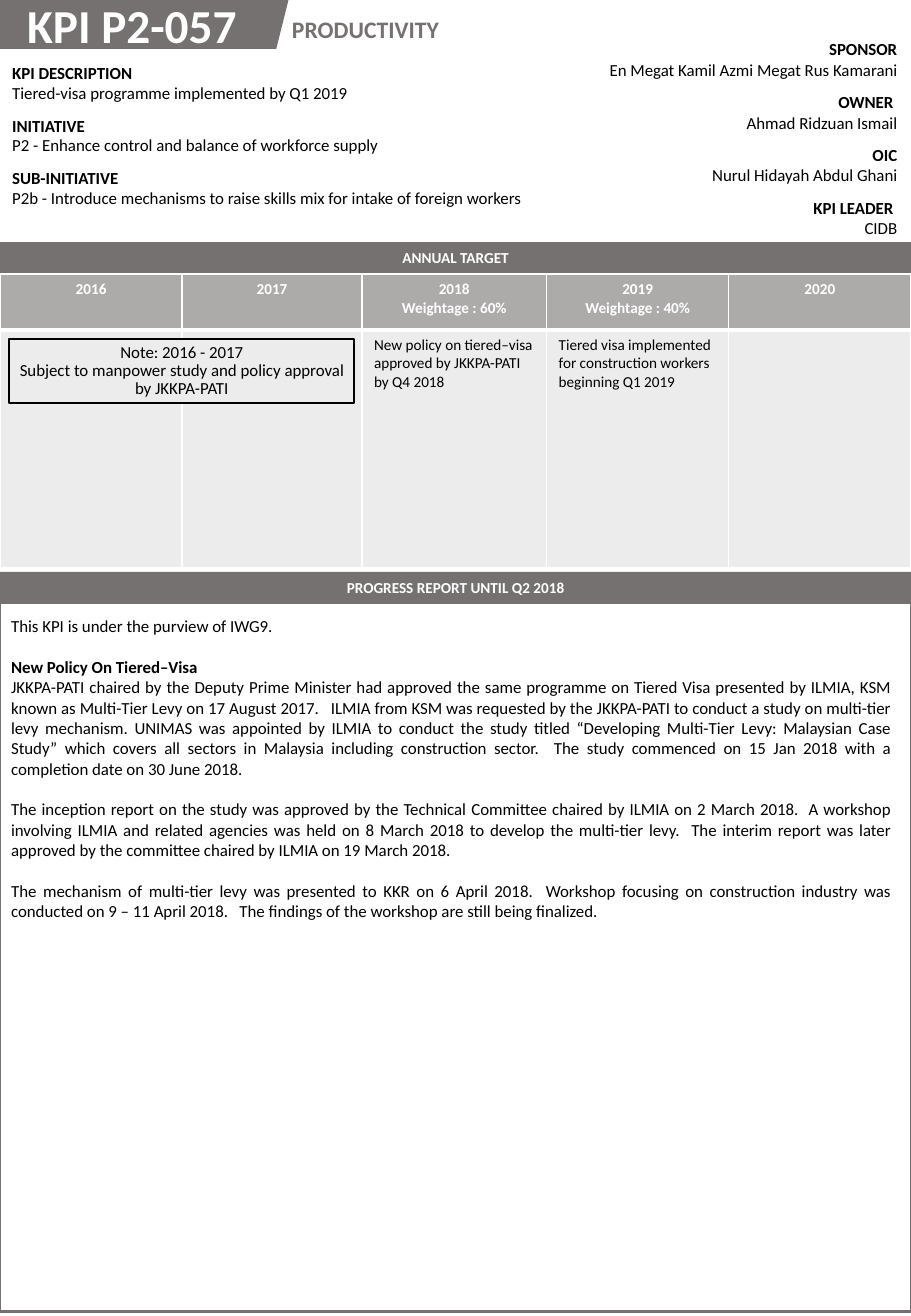
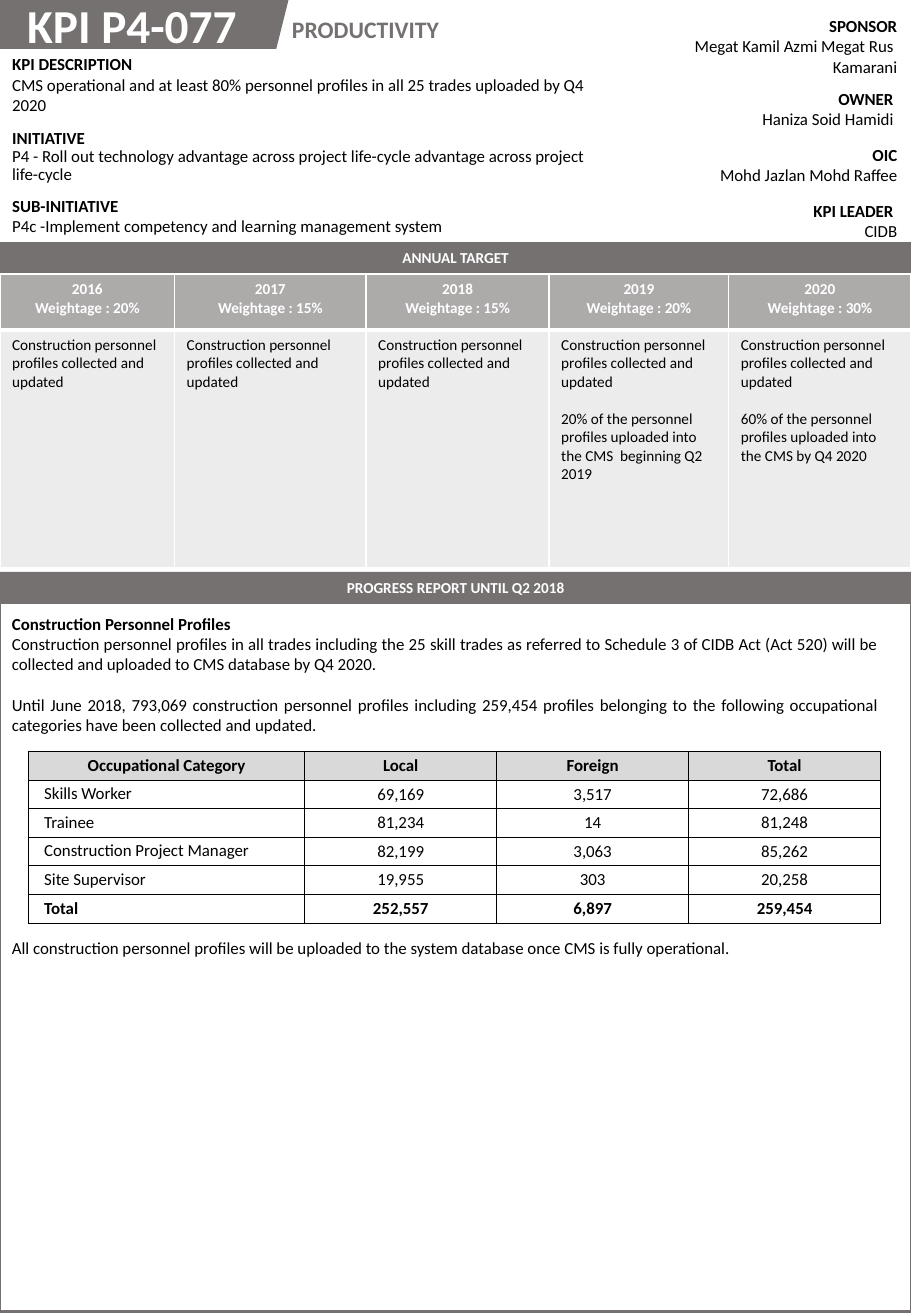
import collections
import dataclasses

import lxml.etree
import pptx
import pptx.dml.color
import pptx.enum.shapes
import pptx.enum.text
import pptx.oxml.ns
import pptx.util

Pt = pptx.util.Pt
ALIGN = pptx.enum.text.PP_ALIGN
ANCHOR = pptx.enum.text.MSO_ANCHOR
SHAPE = pptx.enum.shapes.MSO_SHAPE
qn = pptx.oxml.ns.qn

Box = collections.namedtuple("Box", "left top width height")


@dataclasses.dataclass(frozen=True)
class Theme:
    font: str = "Calibri"
    grey: str = "767171"
    year_fill: str = "ADAAAA"
    target_fill: str = "EDECEC"
    head_fill: str = "D9D9D9"
    white: str = "FFFFFF"
    black: str = "000000"
    code_size: int = 28
    topic_size: int = 14
    body_size: int = 10
    small_size: int = 9
    blank_line: float = 12.2
    small_blank_line: float = 11
    tight: float = 0.88


@dataclasses.dataclass(frozen=True)
class Line:
    text: str
    bold: bool = False
    align: object = ALIGN.LEFT
    before: float = 0
    spacing: float = 1


THEME = Theme()
PAGE = Box(0, 0, 540, 780)


def points(*lengths):
    return [Pt(length) for length in lengths]


def rgb(colour):
    return pptx.dml.color.RGBColor.from_string(colour)


def write(frame, lines, size, colour=THEME.black, align=None):
    """Fill a frame with lines; align overrides the alignment of each line."""
    frame.word_wrap = True
    frame.text = "\n".join(line.text for line in lines)
    for para, line in zip(frame.paragraphs, lines):
        para.alignment = line.align if align is None else align
        para.line_spacing = line.spacing
        if line.before:
            para.space_before = Pt(line.before)
        for span in para.runs:
            span.font.name = THEME.font
            span.font.size = Pt(size)
            span.font.bold = line.bold
            span.font.color.rgb = rgb(colour)


def add_text(page, box, lines, size, colour=THEME.black):
    write(page.shapes.add_textbox(*points(*box)).text_frame, lines, size, colour)


def add_shape(page, kind, box, fill=None, line=None, line_width=1):
    shape = page.shapes.add_shape(kind, *points(*box))
    shape.shadow.inherit = False
    if fill:
        shape.fill.solid()
        shape.fill.fore_color.rgb = rgb(fill)
    else:
        shape.fill.background()
    if line:
        shape.line.color.rgb = rgb(line)
        shape.line.width = Pt(line_width)
    else:
        shape.line.fill.background()
    return shape


def add_grid(page, box, widths, heights):
    """Add a table without banding at the top left of the box."""
    frame = page.shapes.add_table(len(heights), len(widths), *points(*box))
    table = frame.table
    table.first_row = table.horz_banding = False
    for column, width in zip(table.columns, widths):
        column.width = Pt(width)
    for row, height in zip(table.rows, heights):
        row.height = Pt(height)
    return table


def style_cell(cell, fill=None, border=None, width=1, bottom=None):
    """Set the four borders, then the fill, as the schema orders them."""
    properties = cell._tc.get_or_add_tcPr()
    for side in ("lnL", "lnR", "lnT", "lnB"):
        side_width = bottom if bottom and side == "lnB" else width
        line = lxml.etree.SubElement(properties, qn("a:" + side), w=str(Pt(side_width)))
        if border:
            solid = lxml.etree.SubElement(line, qn("a:solidFill"))
            lxml.etree.SubElement(solid, qn("a:srgbClr"), val=border)
        else:
            lxml.etree.SubElement(line, qn("a:noFill"))
    if fill:
        cell.fill.solid()
        cell.fill.fore_color.rgb = rgb(fill)
    else:
        cell.fill.background()


def add_header(page, box, code):
    tag_width = 183
    add_shape(page, SHAPE.PARALLELOGRAM,
              Box(box.left - 12, box.top, tag_width, box.height), THEME.grey)
    add_text(page, Box(box.left + 9, box.top - 6, 162, 41),
             [Line(code, bold=True)], THEME.code_size, THEME.white)
    add_text(page, Box(box.left + 166, box.top + 5, 140, 24),
             [Line("PRODUCTIVITY", bold=True)], THEME.topic_size, THEME.grey)


def add_facts(page, box, facts, align):
    """Stack headed facts, given as (heading, line, ...), in equal rows."""
    row_height = box.height / len(facts)
    table = add_grid(page, box, [box.width], [row_height] * len(facts))
    for row, (heading, *lines) in enumerate(facts):
        cell = table.cell(row, 0)
        style_cell(cell)
        write(cell.text_frame, [Line(heading, bold=True), *lines],
              THEME.body_size, align=align)


def add_band(page, box, text):
    band = add_shape(page, SHAPE.RECTANGLE, box, THEME.grey)
    band.text_frame.vertical_anchor = ANCHOR.MIDDLE
    write(band.text_frame, [Line(text, bold=True)], THEME.small_size,
          THEME.white, ALIGN.CENTER)


def add_targets(page, box, widths, weights, targets):
    """Show a column for each year: its weightage, and its target lines."""
    head_height = 33
    table = add_grid(page, box, widths, [head_height, box.height - head_height])
    for column, (weight, lines) in enumerate(zip(weights, targets)):
        year, target = table.cell(0, column), table.cell(1, column)
        heads = [Line(str(2016 + column), bold=True)]
        if weight:
            heads.append(Line(f"Weightage : {weight}%", bold=True))
        style_cell(year, THEME.year_fill, THEME.white, bottom=3)
        write(year.text_frame, heads, THEME.small_size, THEME.white, ALIGN.CENTER)
        style_cell(target, THEME.target_fill, THEME.white)
        if lines:
            write(target.text_frame, lines, THEME.small_size)


def add_note(page, box, lines):
    """Lay a note over the target cells, in their colour."""
    note = add_shape(page, SHAPE.RECTANGLE, box, THEME.target_fill, THEME.black)
    frame = note.text_frame
    frame.margin_left = frame.margin_right = Pt(1.5)
    frame.margin_top = frame.margin_bottom = Pt(3)
    frame.vertical_anchor = ANCHOR.MIDDLE
    write(frame, lines, THEME.body_size, align=ALIGN.CENTER)


def add_profile_table(page, box, rows):
    """Tabulate head, categories and total; the label column is the widest."""
    label_width = 163.8
    number_width = (box.width - label_width) / (len(rows[0]) - 1)
    widths = [label_width] + [number_width] * (len(rows[0]) - 1)
    table = add_grid(page, box, widths, [box.height / len(rows)] * len(rows))
    for row, values in enumerate(rows):
        for column, value in enumerate(values):
            cell = table.cell(row, column)
            is_label = row > 0 and column == 0
            cell.margin_left = cell.margin_right = Pt(9.4)
            cell.margin_top = cell.margin_bottom = Pt(2.2)
            cell.vertical_anchor = ANCHOR.TOP if is_label else ANCHOR.MIDDLE
            style_cell(cell, THEME.white if row else THEME.head_fill, THEME.black, 0.5)
            write(cell.text_frame, [Line(value, bold=row in (0, len(rows) - 1))],
                  THEME.body_size, align=ALIGN.LEFT if is_label else ALIGN.CENTER)


def add_kpi_page(deck, code, facts_box, facts, people_box, people, widths, weights, targets):
    """Add a page with all the parts that every KPI has."""
    page = deck.slides.add_slide(deck.slide_layouts[6])
    add_shape(page, SHAPE.RECTANGLE, Box(0, 357.5, PAGE.width, 420),
              line=THEME.grey, line_width=1.5)
    add_header(page, Box(0, 0, PAGE.width, 29), code)
    add_facts(page, facts_box, facts, ALIGN.LEFT)
    add_facts(page, people_box, people, ALIGN.RIGHT)
    add_band(page, Box(0, 143.5, PAGE.width, 18.5), "ANNUAL TARGET")
    add_targets(page, Box(0, 162.5, PAGE.width, 174), widths, weights, targets)
    add_band(page, Box(0, 339, PAGE.width, 18.5), "PROGRESS REPORT UNTIL Q2 2018")
    return page


def justified(text, before=0):
    return Line(text, align=ALIGN.JUSTIFY, before=before)


def add_visa_page(deck):
    page = add_kpi_page(
        deck, "KPI P2-057",
        Box(0, 34, 319, 93),
        [("KPI DESCRIPTION", Line("Tiered-visa programme implemented by Q1 2019")),
         ("INITIATIVE", Line("P2 - Enhance control and balance of workforce supply",
                             spacing=THEME.tight)),
         ("SUB-INITIATIVE", Line("P2b - Introduce mechanisms to raise skills mix for "
                                 "intake of foreign workers"))],
        Box(340, 20, 199, 124),
        [("SPONSOR", Line("En Megat Kamil Azmi Megat Rus Kamarani")),
         ("OWNER ", Line("Ahmad Ridzuan Ismail")),
         ("OIC", Line("Nurul Hidayah Abdul Ghani")),
         ("KPI LEADER ", Line("CIDB"))],
        [108, 106.5, 109.5, 108, 108],
        [None, None, 60, 40, None],
        [None, None,
         [Line("New policy on tiered–visa approved by JKKPA-PATI by Q4 2018")],
         [Line("Tiered visa implemented for construction workers beginning Q1 2019")],
         None])
    add_note(page, Box(5.5, 201, 204.5, 38), [
        Line("Note: 2016 - 2017", spacing=THEME.tight),
        Line("Subject to manpower study and policy approval by JKKPA-PATI",
             spacing=THEME.tight)])
    add_text(page, Box(-0.5, 361.5, 535.5, 250), [
        Line("This KPI is under the purview of IWG9."),
        Line("New Policy On Tiered–Visa", bold=True, before=THEME.blank_line),
        justified("JKKPA-PATI chaired by the Deputy Prime Minister had approved the same "
                  "programme on Tiered Visa presented by ILMIA, KSM known as Multi-Tier Levy "
                  "on 17 August 2017.   ILMIA from KSM was requested by the JKKPA-PATI to "
                  "conduct a study on multi-tier levy mechanism. UNIMAS was appointed by ILMIA "
                  "to conduct the study titled “Developing Multi-Tier Levy: Malaysian Case "
                  "Study” which covers all sectors in Malaysia including construction sector.  "
                  "The study commenced on 15 Jan 2018 with a completion date on 30 June 2018."),
        justified("The inception report on the study was approved by the Technical Committee "
                  "chaired by ILMIA on 2 March 2018.  A workshop involving ILMIA and related "
                  "agencies was held on 8 March 2018 to develop the multi-tier levy.  The "
                  "interim report was later approved by the committee chaired by ILMIA on "
                  "19 March 2018.", THEME.blank_line),
        justified("The mechanism of multi-tier levy was presented to KKR on 6 April 2018.  "
                  "Workshop focusing on construction industry was conducted on 9 – 11 April "
                  "2018.   The findings of the workshop are still being finalized.",
                  THEME.blank_line)], THEME.body_size)


def add_profiles_page(deck):
    collected = Line("Construction personnel profiles collected and updated")
    uploads = ["20% of the personnel profiles uploaded into the CMS  beginning Q2 2019",
               "60% of the personnel profiles uploaded into the CMS by Q4 2020"]
    page = add_kpi_page(
        deck, "KPI P4-077",
        Box(0, 29, 361.5, 93),
        [("KPI DESCRIPTION", Line("CMS operational and at least 80% personnel profiles in "
                                  "all 25 trades uploaded by Q4 2020")),
         ("INITIATIVE", Line("P4 - Roll out technology advantage across project life-cycle "
                             "advantage across project life-cycle", spacing=THEME.tight)),
         ("SUB-INITIATIVE", Line("P4c -Implement competency and learning management system"))],
        Box(340, 6, 199, 133),
        [("SPONSOR", Line("Megat Kamil Azmi Megat Rus "), Line("Kamarani")),
         ("OWNER ", Line("Haniza Soid Hamidi ")),
         ("OIC", Line("Mohd Jazlan Mohd Raffee")),
         ("KPI LEADER ", Line("CIDB"))],
        [103.5, 113.5, 108.5, 106.5, 108],
        [20, 15, 15, 20, 30],
        [[collected]] * 3
        + [[collected, Line(upload, before=THEME.small_blank_line)] for upload in uploads])
    add_text(page, Box(0, 360, 527, 80), [
        Line("Construction Personnel Profiles", bold=True),
        justified("Construction personnel profiles in all trades including the 25 skill trades "
                  "as referred to Schedule 3 of CIDB Act (Act 520) will be collected and "
                  "uploaded to CMS database by Q4 2020."),
        justified("Until June 2018, 793,069 construction personnel profiles including 259,454 "
                  "profiles belonging to the following occupational categories have been "
                  "collected and updated.", THEME.blank_line)], THEME.body_size)
    add_profile_table(page, Box(16.8, 445.3, 505.2, 102), [
        ("Occupational Category", "Local", "Foreign", "Total"),
        ("Skills Worker", "69,169", "3,517", "72,686"),
        ("Trainee", "81,234", "14", "81,248"),
        ("Construction Project Manager", "82,199", "3,063", "85,262"),
        ("Site Supervisor", "19,955", "303", "20,258"),
        ("Total", "252,557", "6,897", "259,454")])
    add_text(page, Box(0, 552, 527, 20), [
        Line("All construction personnel profiles will be uploaded to the system database "
             "once CMS is fully operational.")], THEME.body_size)


def main():
    deck = pptx.Presentation()
    deck.slide_width, deck.slide_height = points(PAGE.width, PAGE.height)
    add_visa_page(deck)
    add_profiles_page(deck)
    deck.save("out.pptx")


if __name__ == "__main__":
    main()
